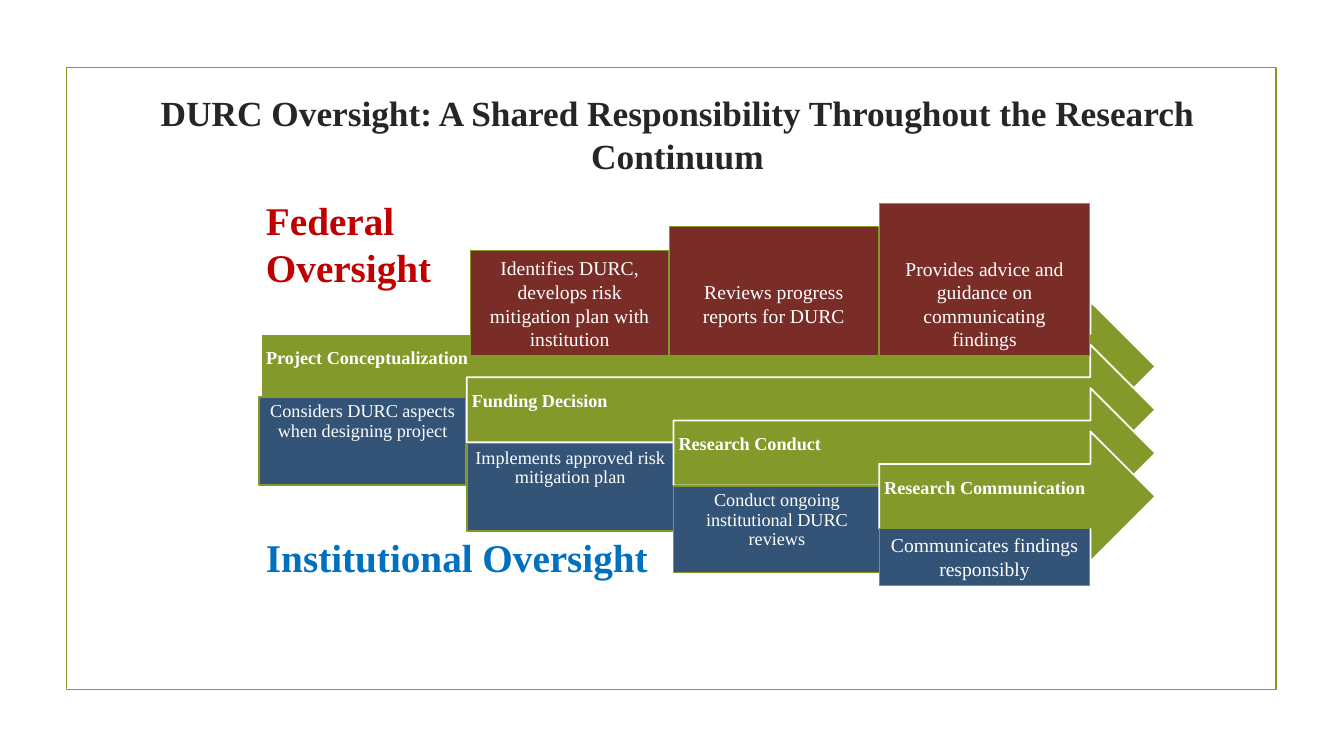
from dataclasses import dataclass

from pptx import Presentation
from pptx.dml.color import RGBColor
from pptx.enum import shapes, text
from pptx.util import Inches, Pt


@dataclass(frozen=True)
class Theme:
    font: str = "Times New Roman"
    olive: str = "83992A"
    navy: str = "335476"
    maroon: str = "7A2D26"
    white: str = "FFFFFF"
    ink: str = "262626"
    red: str = "C00000"
    blue: str = "0070C0"
    title: float = 25.2
    heading: float = 28
    body: float = 14
    stage: float = 13


T = Theme()
ARROW_TIP = 11.46
ARROW_HEIGHT = 1.29
ARROW_TOP = 2.99
ARROW_STEP = 0.43
FEDERAL_BOTTOM = 3.53
FEDERAL_TEXT_TOP = 2.49

STAGES = [
    (2.59, "Project Conceptualization",
     (2.57, 3.94, 2.05, 0.87), "Considers DURC aspects when designing project"),
    (4.63, "Funding Decision",
     (4.63, 4.4, 2.05, 0.87), "Implements approved risk mitigation plan"),
    (6.68, "Research Conduct",
     (6.68, 4.82, 2.05, 0.86), "Conduct ongoing institutional DURC reviews"),
    (8.72, "Research Communication", None, None),
]

FEDERAL_STEPS = [
    (4.67, 2.49, 1.96,
     "Identifies DURC, develops risk mitigation plan with institution"),
    (6.64, 2.25, 2.07, "Reviews progress reports for DURC"),
    (8.72, 2.02, 2.09, "Provides advice and guidance on communicating findings"),
]


def write(sp, content, size=T.body, color=T.white, bold=False,
          align=text.PP_ALIGN.CENTER, anchor=text.MSO_ANCHOR.MIDDLE,
          insets=(0.1, 0.05, 0.1, 0.05), spacing=1.0):
    tf = sp.text_frame
    tf.word_wrap = True
    tf.vertical_anchor = anchor
    tf.margin_left, tf.margin_top, tf.margin_right, tf.margin_bottom = map(Inches, insets)
    p = tf.paragraphs[0]
    p.alignment = align
    p.line_spacing = spacing
    r = p.add_run()
    r.text = content
    r.font.name = T.font
    r.font.size = Pt(size)
    r.font.bold = bold
    r.font.color.rgb = RGBColor.from_string(color)


def add_block(s, box, fill=None, line=T.olive, width=1.25,
              kind=shapes.MSO_SHAPE.RECTANGLE):
    sp = s.shapes.add_shape(kind, *map(Inches, box))
    sp.shadow.inherit = False
    if fill:
        sp.fill.solid()
        sp.fill.fore_color.rgb = RGBColor.from_string(fill)
    else:
        sp.fill.background()
    sp.line.color.rgb = RGBColor.from_string(line)
    sp.line.width = Pt(width)
    return sp


def add_label(s, box, content, **fmt):
    write(s.shapes.add_textbox(*map(Inches, box)), content, bold=True, **fmt)


def add_stage(s, index, left, name, duty_box, duty):
    box = (left, ARROW_TOP + index * ARROW_STEP, ARROW_TIP - left, ARROW_HEIGHT)
    arrow = add_block(s, box, T.olive, T.white, kind=shapes.MSO_SHAPE.RIGHT_ARROW)
    write(arrow, name, size=T.stage, bold=True, align=text.PP_ALIGN.LEFT,
          insets=(0.05, 0.05, 0.28, 0.21), spacing=0.9)
    if duty:
        write(add_block(s, duty_box, T.navy), duty, size=T.stage,
              anchor=text.MSO_ANCHOR.TOP, insets=(0.05,) * 4, spacing=0.9)


def add_federal_step(s, left, top, width, duty):
    sp = add_block(s, (left, top, width, FEDERAL_BOTTOM - top), T.maroon, width=0.75)
    write(sp, duty, insets=(0.1, 0.05 + FEDERAL_TEXT_TOP - top, 0.1, 0.05))


def main():
    prs = Presentation()
    prs.slide_width, prs.slide_height = Inches(13.33), Inches(7.5)
    s = prs.slides.add_slide(prs.slide_layouts[6])

    add_block(s, (0.66, 0.67, 12, 6.17))
    add_label(s, (1.47, 0.83, 10.5, 1),
              "DURC Oversight: A Shared Responsibility Throughout the Research Continuum",
              size=T.title, color=T.ink)

    for index, stage in enumerate(STAGES):
        add_stage(s, index, *stage)
    write(add_block(s, (8.72, 5.24, 2.09, 0.57), T.navy, width=0.75),
          "Communicates findings responsibly")
    for step in FEDERAL_STEPS:
        add_federal_step(s, *step)

    heading = dict(size=T.heading, align=text.PP_ALIGN.LEFT, anchor=text.MSO_ANCHOR.TOP)
    add_label(s, (2.54, 1.9, 2.1, 1.05), "Federal Oversight", color=T.red, **heading)
    add_label(s, (2.54, 5.24, 4.1, 0.57), "Institutional Oversight", color=T.blue, **heading)

    prs.save("out.pptx")


if __name__ == "__main__":
    main()
